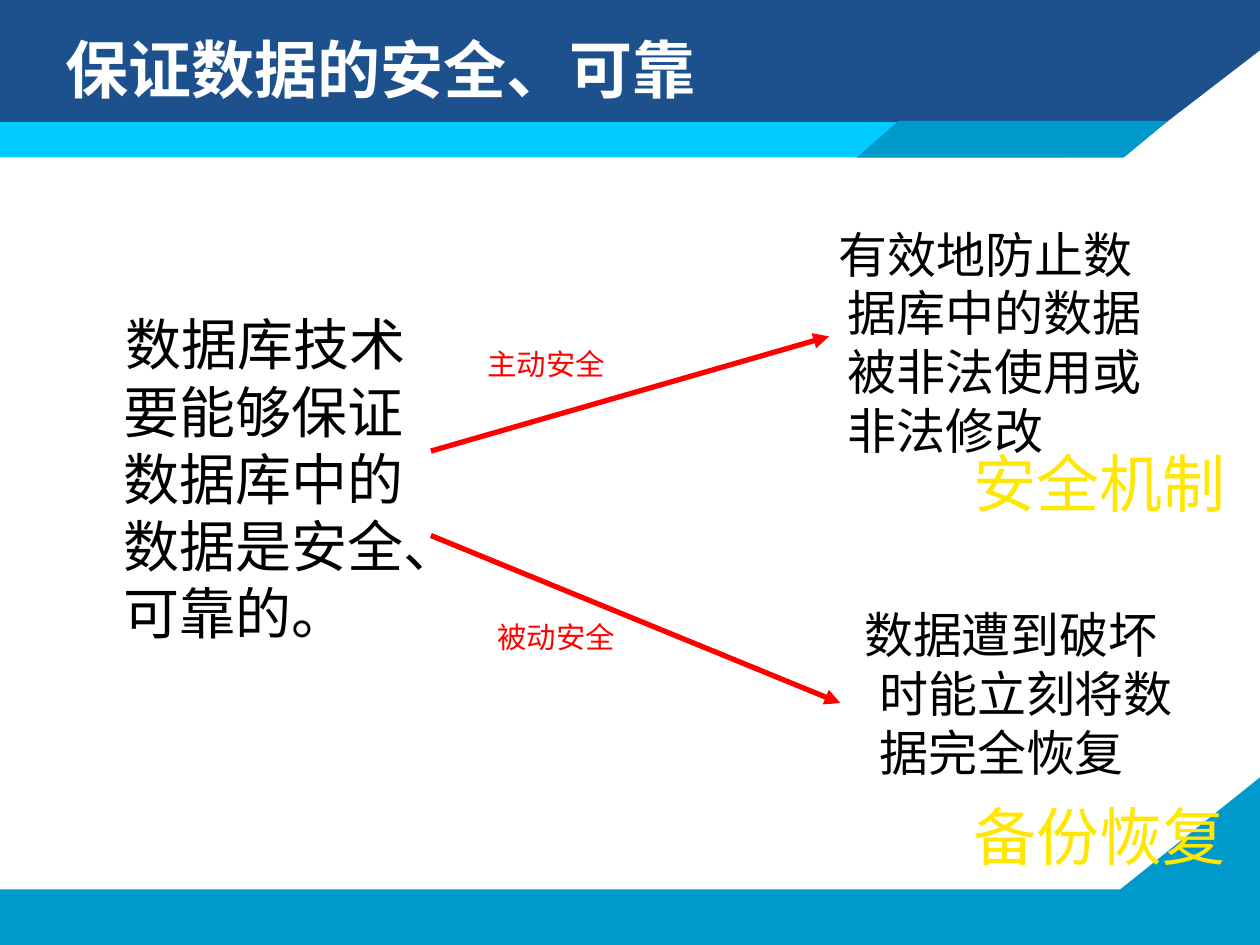
from lxml.etree import SubElement
from pptx import Presentation
from pptx.dml.color import RGBColor
from pptx.enum.shapes import MSO_CONNECTOR, MSO_SHAPE
from pptx.enum.text import MSO_ANCHOR, PP_ALIGN
from pptx.oxml.ns import qn
from pptx.util import Inches, Pt

COLORS = {
    "navy": "1D518D", "blue": "0099CB", "cyan": "00CCFF", "white": "FFFFFF",
    "black": "000000", "red": "FF0000", "yellow": "FFE701", "orange": "FE3E02",
}
SANS = "Noto Sans CJK SC"
SERIF = "Times New Roman"


def color(name):
    """Return the named colour."""
    return RGBColor.from_string(COLORS[name])


def paint(shape, name):
    """Give a shape a flat fill without line or shadow."""
    shape.fill.solid()
    shape.fill.fore_color.rgb = color(name)
    shape.line.fill.background()
    shape.shadow.inherit = False


def add_outline(page, points, name):
    """Draw a closed polygon from points in inches."""
    corners = [(Inches(x), Inches(y)) for x, y in points]
    builder = page.shapes.build_freeform(*corners[0], scale=1.0)
    builder.add_line_segments(corners[1:], close=True)
    paint(builder.convert_to_shape(), name)


def add_text(page, bounds, text, size, name, font=SANS, wrap=False):
    """Add a text box with one run and return its box, paragraph and span."""
    box = page.shapes.add_textbox(*(Inches(value) for value in bounds))
    box.text_frame.word_wrap = wrap
    para = box.text_frame.paragraphs[0]
    span = para.add_run()
    span.text = text
    span.font.size = Pt(size)
    span.font.name = font
    span.font.color.rgb = color(name)
    SubElement(span.font._element, qn("a:ea")).set("typeface", SANS)
    return box, para, span


def add_frame(page):
    """Draw the header and footer bands."""
    add_outline(page, [(0, 7.06), (8.89, 7.06), (10, 6.17), (10, 7.5), (0, 7.5)], "blue")
    add_outline(page, [(0, 0), (10, 0), (10, 0.4), (8.92, 1.23), (0, 1.24)], "navy")
    stripe = page.shapes.add_shape(
        MSO_SHAPE.RECTANGLE, 0, Inches(0.97), Inches(8.44), Inches(0.28))
    paint(stripe, "cyan")
    add_outline(page, [(6.8, 1.25), (8.92, 1.25), (9.27, 0.96), (7.13, 0.96)], "blue")


def add_title(page, bounds, text):
    """Add the bold slide title."""
    box, para, span = add_text(page, bounds, text, 36, "white", wrap=True)
    box.text_frame.vertical_anchor = MSO_ANCHOR.MIDDLE
    span.font.bold = True


def add_statement(page, bounds, text, size, first_indent, top_inset=0.05):
    """Add a wrapped statement whose first line has its own indent."""
    box, para, span = add_text(page, bounds, text, size, "black", SERIF, wrap=True)
    box.text_frame.margin_top = Inches(top_inset)
    para.line_spacing = Pt(size * 1.2)
    properties = para._p.get_or_add_pPr()
    properties.set("marL", str(Inches(0.38)))
    properties.set("indent", str(Inches(first_indent)))


def add_branch(page, start, end, label_bounds, label):
    """Draw a red arrow with its label."""
    arrow = page.shapes.add_connector(
        MSO_CONNECTOR.STRAIGHT, *(Inches(value) for value in start + end))
    arrow.line.color.rgb = color("red")
    arrow.line.width = Pt(3)
    SubElement(arrow.line._get_or_add_ln(), qn("a:tailEnd")).set("type", "triangle")
    SubElement(arrow._element.spPr, qn("a:effectLst"))
    box, para, span = add_text(page, label_bounds, label, 16.8, "red")
    para.alignment = PP_ALIGN.CENTER
    para.line_spacing = 0.8


def add_keyword(page, bounds, text):
    """Add a large one-line keyword with a yellow to orange gradient."""
    box, para, span = add_text(page, bounds, text, 36, "yellow")
    box.text_frame.margin_left = box.text_frame.margin_right = 0
    para.alignment = PP_ALIGN.CENTER
    fill = span.font.fill
    fill.gradient()
    fill.gradient_angle = 270
    for stop, name in zip(fill.gradient_stops, ("yellow", "orange")):
        stop.color.rgb = color(name)


def main():
    """Build and save the slide."""
    deck = Presentation()
    deck.slide_width, deck.slide_height = Inches(10), Inches(7.5)
    page = deck.slides.add_slide(deck.slide_layouts[6])
    page.background.fill.solid()
    page.background.fill.fore_color.rgb = color("white")
    add_frame(page)
    add_title(page, (0.42, 0.17, 7.42, 0.75), "保证数据的安全、可靠")
    add_statement(page, (0.5, 2.41, 3, 3),
                  "数据库技术要能够保证数据库中的数据是安全、可靠的。", 32, 0.02)
    add_statement(page, (6.25, 1.67, 3, 2.17),
                  "有效地防止数据库中的数据被非法使用或非法修改", 28, -0.07, 0.11)
    add_statement(page, (6.5, 4.75, 3.07, 1.91),
                  "数据遭到破坏时能立刻将数据完全恢复", 28, -0.12)
    add_branch(page, (3.42, 3.58), (6.58, 2.67), (3.67, 2.75, 1.33, 0.34), "主动安全")
    add_branch(page, (3.42, 4.25), (6.67, 5.58), (3.75, 4.92, 1.33, 0.34), "被动安全")
    for top, text in ((3.48, "安全机制"), (6.28, "备份恢复")):
        add_keyword(page, (7.7, top, 2.06, 0.77), text)
    deck.save("out.pptx")


if __name__ == "__main__":
    main()
